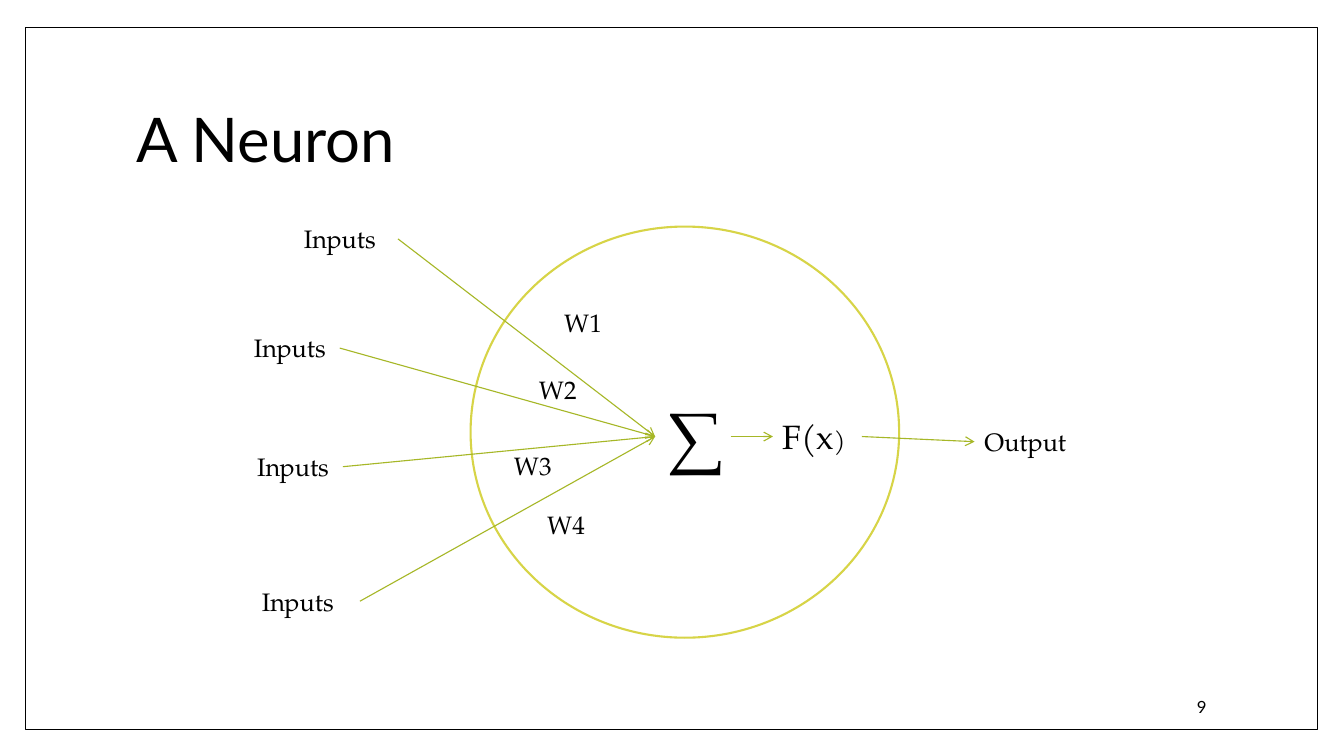
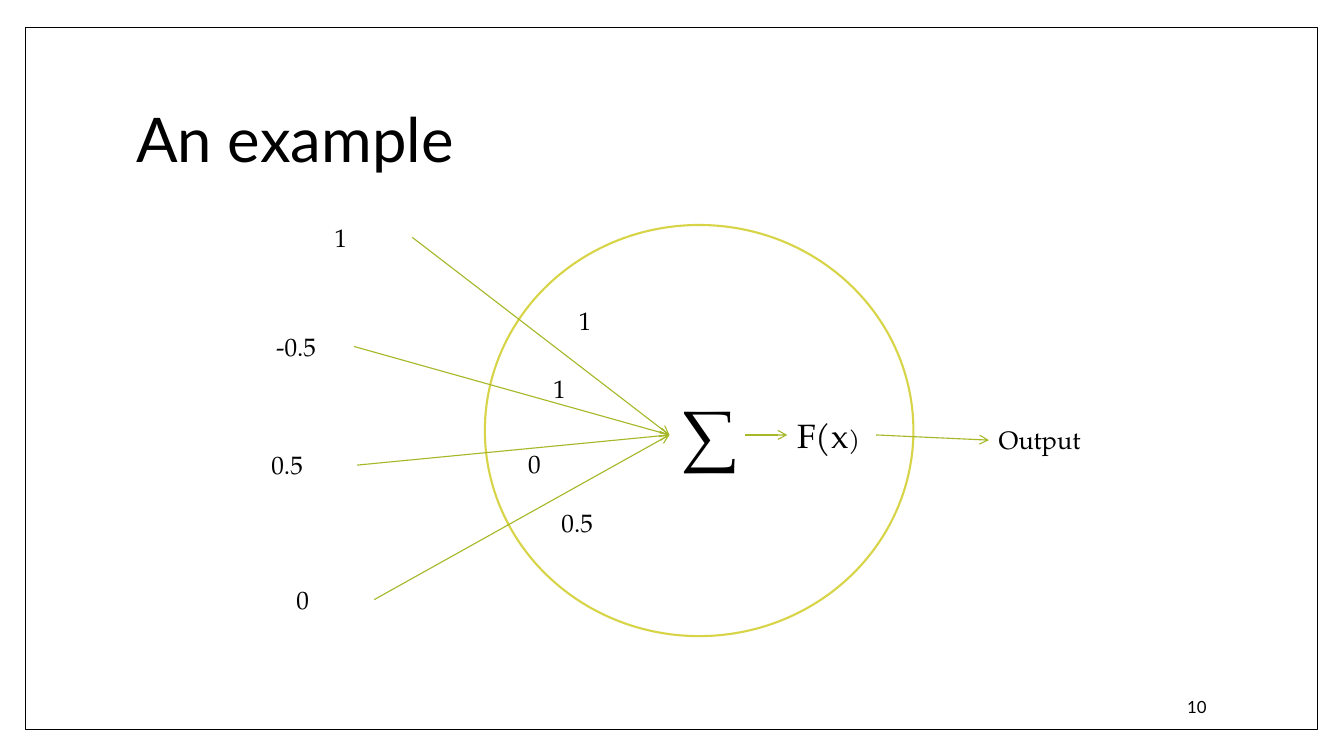
"""Build two slides that explain an artificial neuron and show a worked example."""
from dataclasses import dataclass

from lxml import etree
from pptx import Presentation
from pptx.dml.color import RGBColor
from pptx.enum.shapes import MSO_CONNECTOR, MSO_SHAPE
from pptx.enum.text import MSO_ANCHOR, MSO_AUTO_SIZE, PP_ALIGN
from pptx.oxml.ns import qn
from pptx.shapes.autoshape import Shape
from pptx.slide import Slide
from pptx.util import Cm, Pt

RECTANGLE, ELLIPSE = MSO_SHAPE.RECTANGLE, MSO_SHAPE.OVAL
STRAIGHT = MSO_CONNECTOR.STRAIGHT
MIDDLE = MSO_ANCHOR.MIDDLE
LEFT, RIGHT = PP_ALIGN.LEFT, PP_ALIGN.RIGHT
FIXED_SIZE, GROW = MSO_AUTO_SIZE.NONE, MSO_AUTO_SIZE.SHAPE_TO_FIT_TEXT

COLORS = {"paper": "FFFFFF", "ink": "000000", "cell": "D7D447", "arrow": "A6B727"}
TITLE_FONT, BODY_FONT = "Lato", "TeX Gyre Pagella"
BODY_SIZE = 18
TITLE_LAYOUT = 5
INPUT_HEIGHT = 1.02


@dataclass(frozen=True)
class Area:
    """Hold a rectangle in centimetres."""

    left: float
    top: float
    width: float
    height: float

    @property
    def right(self) -> float:
        """Return the right edge."""
        return self.left + self.width

    def moved(self, shift: "Point") -> "Area":
        """Return the area moved by the shift."""
        return Area(self.left + shift.x, self.top + shift.y, self.width, self.height)

    def lengths(self) -> list[Cm]:
        """Return the position and size as slide lengths."""
        return [Cm(value) for value in (self.left, self.top, self.width, self.height)]


@dataclass(frozen=True)
class Point:
    """Hold a place or a shift in centimetres."""

    x: float
    y: float


@dataclass(frozen=True)
class Span:
    """Hold a piece of text and its size in points."""

    text: str
    size: float = BODY_SIZE


@dataclass(frozen=True)
class Signal:
    """Hold the label of an input, the width of its box and its weight."""

    label: str
    width: float
    weight: str


@dataclass(frozen=True)
class NeuronPage:
    """Hold what differs between the neuron slides."""

    title: str
    number: int
    shift: Point
    signals: tuple[Signal, ...]


FRAME = Area(0.64, 0.69, 32.56, 17.7)
TITLE = Area(3.18, 1.7, 27.43, 3.76)
PAGE_NUMBER = Area(25.91, 17.3, 4.75, 1.02)
CELL = Area(11.86, 5.71, 10.8, 10.36)
SUM = Area(16.51, 9.93, 1.9, 2.13)
FUNCTION = Area(19.48, 10.36, 2.24, 1.3)
OUTPUT = Area(24.56, 10.62, 3.18, 1.02)
NODES = (
    (SUM, (Span("\u2211", 44),)),
    (FUNCTION, (Span("F(x", 24), Span(")"))),
    (OUTPUT, (Span("Output"),)),
)
AXIS = 11.0
ARROW_STARTS = (Point(10.03, 6.02), Point(8.56, 8.77), Point(8.64, 11.76), Point(9.07, 15.15))
WEIGHTS = tuple(
    Area(left, top, 1.7, 1.07)
    for left, top in ((13.97, 7.62), (13.33, 9.32), (12.7, 11.22), (13.54, 12.7))
)
LINKS = (
    *((start, Point(SUM.left, AXIS)) for start in ARROW_STARTS),
    (Point(SUM.right, AXIS), Point(FUNCTION.left, AXIS)),
    (Point(FUNCTION.right, AXIS), Point(OUTPUT.left, OUTPUT.top + OUTPUT.height / 2)),
)

PAGES = (
    NeuronPage("A Neuron", 9, Point(0, 0), (
        Signal("Inputs", 2.62, "W1"),
        Signal("Inputs", 2.41, "W2"),
        Signal("Inputs", 2.41, "W3"),
        Signal("Inputs", 2.72, "W4"),
    )),
    NeuronPage("An example", 10, Point(0.36, -0.04), (
        Signal("1", 2.21, "1"),
        Signal("-0.5", 2.21, "1"),
        Signal("0.5", 2.41, "0"),
        Signal("0", 2.21, "0.5"),
    )),
)


def color(name: str) -> RGBColor:
    """Return the named colour."""
    return RGBColor.from_string(COLORS[name])


def format_text(box: Shape, font: str, sizes: list[float], alignment: PP_ALIGN = LEFT) -> None:
    """Format the runs of a one-paragraph box."""
    para = box.text_frame.paragraphs[0]
    para.alignment = alignment
    for span, size in zip(para.runs, sizes):
        span.font.name = font
        span.font.size = Pt(size)
        span.font.color.rgb = color("ink")


def add_outline(page: Slide, kind: MSO_SHAPE, area: Area, line: str, width: float) -> Shape:
    """Add a paper-filled shape with a coloured outline."""
    shape = page.shapes.add_shape(kind, *area.lengths())
    shape.shadow.inherit = False
    shape.fill.solid()
    shape.fill.fore_color.rgb = color("paper")
    shape.line.color.rgb = color(line)
    shape.line.width = Pt(width)
    return shape


def add_label(page: Slide, area: Area, spans: tuple[Span, ...]) -> None:
    """Add a body text box made of spans."""
    box = page.shapes.add_textbox(*area.lengths())
    frame = box.text_frame
    frame.word_wrap = True
    frame.auto_size = GROW
    for span in spans:
        frame.paragraphs[0].add_run().text = span.text
    format_text(box, BODY_FONT, [span.size for span in spans])


def add_arrow(page: Slide, start: Point, end: Point, shift: Point) -> None:
    """Add a thin arrow between two shifted points."""
    ends = [Cm(value) for point in (start, end) for value in (point.x + shift.x, point.y + shift.y)]
    arrow = page.shapes.add_connector(STRAIGHT, *ends)
    arrow.line.color.rgb = color("arrow")
    arrow.line.width = Pt(0.79)
    etree.SubElement(arrow.line._get_or_add_ln(), qn("a:tailEnd"), type="arrow")
    etree.SubElement(arrow.element.spPr, qn("a:effectLst"))


def add_page_furniture(page: Slide, title: str, number: int) -> None:
    """Add the frame, the title and the page number."""
    frame = add_outline(page, RECTANGLE, FRAME, "ink", 1)
    page.shapes.element.insert(2, frame.element)
    heading = page.shapes.title
    heading.left, heading.top, heading.width, heading.height = TITLE.lengths()
    heading.text_frame.text = title
    heading.text_frame.auto_size = FIXED_SIZE
    heading.text_frame.vertical_anchor = MIDDLE
    heading.text_frame.paragraphs[0].line_spacing = 0.9
    format_text(heading, TITLE_FONT, [44])
    box = page.shapes.add_textbox(*PAGE_NUMBER.lengths())
    box.text_frame.text = str(number)
    box.text_frame.word_wrap = True
    box.text_frame.vertical_anchor = MIDDLE
    format_text(box, TITLE_FONT, [12], RIGHT)


def add_neuron(page: Slide, signals: tuple[Signal, ...], shift: Point) -> None:
    """Draw the neuron with its inputs, weights and output."""
    add_outline(page, ELLIPSE, CELL.moved(shift), "cell", 1.5)
    for signal, start, weight in zip(signals, ARROW_STARTS, WEIGHTS):
        source = Area(start.x - signal.width, start.y - INPUT_HEIGHT / 2, signal.width, INPUT_HEIGHT)
        add_label(page, source.moved(shift), (Span(signal.label),))
        add_label(page, weight.moved(shift), (Span(signal.weight),))
    for area, spans in NODES:
        add_label(page, area.moved(shift), spans)
    for start, end in LINKS:
        add_arrow(page, start, end, shift)


def build_deck() -> None:
    """Build and save the deck."""
    deck = Presentation()
    deck.slide_width, deck.slide_height = Cm(33.87), Cm(19.05)
    for content in PAGES:
        page = deck.slides.add_slide(deck.slide_layouts[TITLE_LAYOUT])
        add_page_furniture(page, content.title, content.number)
        add_neuron(page, content.signals, content.shift)
    deck.save("out.pptx")


build_deck()
